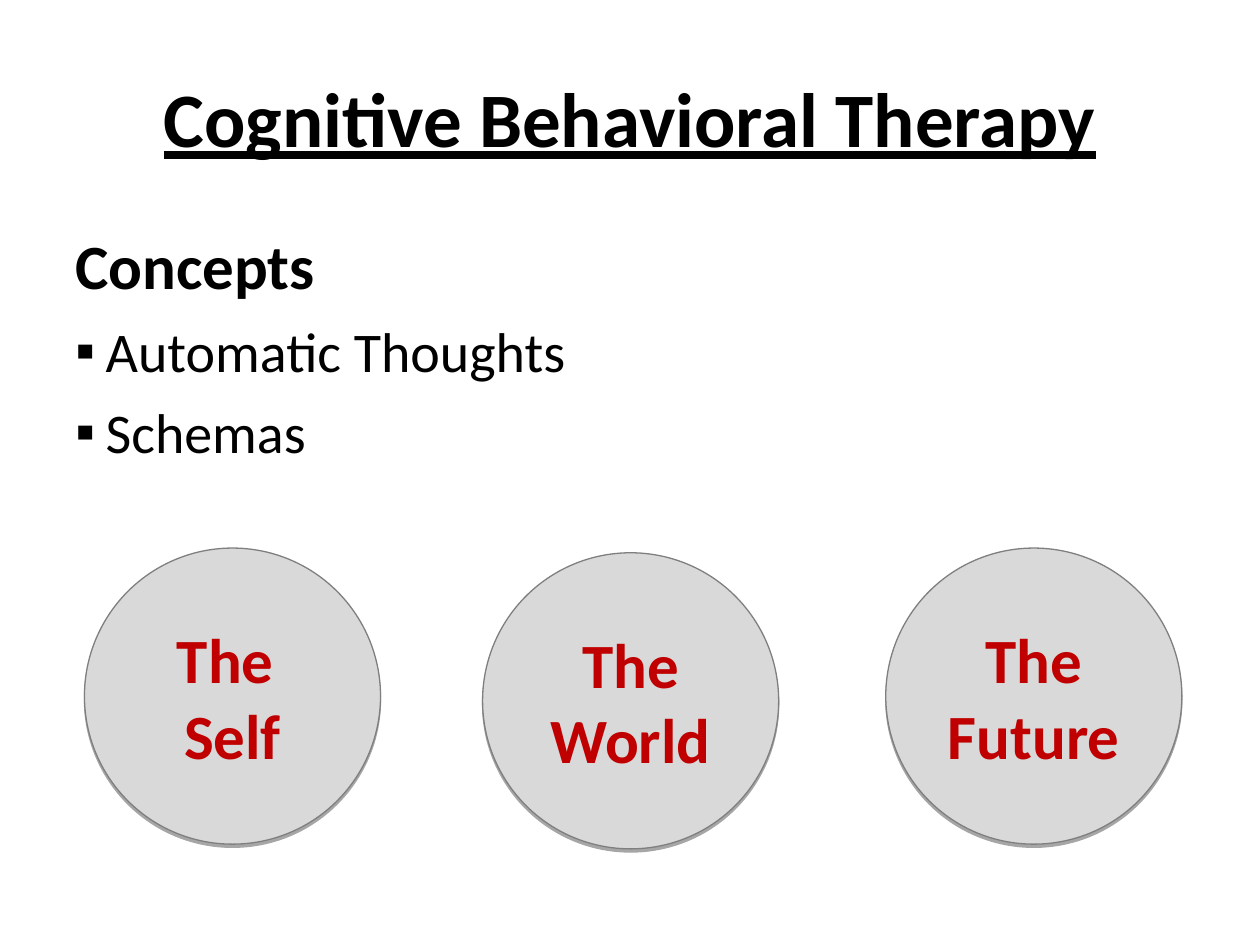
from dataclasses import dataclass
from typing import Any

from lxml.etree import SubElement
from pptx import Presentation
from pptx.dml.color import RGBColor
from pptx.enum.shapes import MSO_SHAPE as Shape
from pptx.enum.text import MSO_ANCHOR as Anchor, PP_ALIGN as Align
from pptx.oxml.ns import qn
from pptx.util import Emu, Inches, Pt

WIDTH, HEIGHT = Inches(10), Inches(7.5)
FONT = "Calibri"
BLACK = RGBColor(0x00, 0x00, 0x00)
RED = RGBColor(0xC0, 0x00, 0x00)
LIGHT_GREY = RGBColor(0xD9, 0xD9, 0xD9)
DARK_GREY = RGBColor(0x7F, 0x7F, 0x7F)
BULLET_INDENT = Inches(0.24)
CIRCLE_SIZE = Inches(2.35)


@dataclass(frozen=True)
class Area:
    left: float
    top: float
    width: float
    height: float

    def lengths(self) -> dict[str, Emu]:
        return {
            "left": Emu(round(self.left * WIDTH)),
            "top": Emu(round(self.top * HEIGHT)),
            "width": Emu(round(self.width * WIDTH)),
            "height": Emu(round(self.height * HEIGHT)),
        }


@dataclass(frozen=True)
class Line:
    text: str
    size: int
    bold: bool = False
    bullet: str = ""
    space_before: int = 0


@dataclass(frozen=True)
class Circle:
    lines: tuple[str, ...]
    left: float
    top: float = 0.58


TITLE_AREA = Area(0.05, 0.04, 0.9, 1 / 6)
CONCEPTS_AREA = Area(0.05, 0.2333, 0.442, 0.66)
CONCEPTS = (
    Line("Concepts", 36, bold=True),
    Line("Automatic Thoughts", 32, bullet="▪", space_before=8),
    Line("Schemas", 32, bullet="▪", space_before=8),
)
CIRCLES = (
    Circle(("The ", "Self"), 0.067),
    Circle(("The World",), 0.383, 0.585),
    Circle(("The Future",), 0.703),
)


def set_values(target: Any, values: dict[str, Any]) -> None:
    for name, value in values.items():
        setattr(target, name, value)


def add_bullet(para: Any, mark: str) -> None:
    properties = para._p.get_or_add_pPr()
    properties.set("marL", str(BULLET_INDENT))
    properties.set("indent", str(-BULLET_INDENT))
    colour = SubElement(properties, qn("a:buClr"))
    SubElement(colour, qn("a:srgbClr"), val=str(BLACK))
    SubElement(properties, qn("a:buFont"), typeface="Arial")
    SubElement(properties, qn("a:buChar"), char=mark)


def write_line(para: Any, line: Line, colour: RGBColor) -> None:
    if line.space_before:
        para.space_before = Pt(line.space_before)
    if line.bullet:
        add_bullet(para, line.bullet)
    span = para.add_run()
    span.text = line.text
    set_values(span.font, {"name": FONT, "size": Pt(line.size), "bold": line.bold})
    span.font.color.rgb = colour


def write_lines(frame: Any, lines: tuple[Line, ...], colour: RGBColor, align: Any) -> None:
    for index, line in enumerate(lines):
        para = frame.add_paragraph() if index else frame.paragraphs[0]
        para.alignment = align
        write_line(para, line, colour)


def add_shadow(shape: Any) -> None:
    shape.shadow.inherit = False
    effects = shape._element.spPr.find(qn("a:effectLst"))
    shadow = SubElement(
        effects, qn("a:outerShdw"), blurRad="0", dist=str(Pt(1.8)), dir="5400000", rotWithShape="0"
    )
    colour = SubElement(shadow, qn("a:srgbClr"), val=str(BLACK))
    SubElement(colour, qn("a:alpha"), val="35000")


def add_title(page: Any) -> None:
    title = page.shapes.title
    set_values(title, TITLE_AREA.lengths())
    title.text_frame.vertical_anchor = Anchor.MIDDLE
    write_lines(
        title.text_frame, (Line("Cognitive Behavioral Therapy", 44, bold=True),), BLACK, Align.CENTER
    )
    title.text_frame.paragraphs[0].runs[0].font.underline = True


def add_concepts(page: Any) -> None:
    box = page.shapes.add_textbox(**CONCEPTS_AREA.lengths())
    box.text_frame.word_wrap = True
    write_lines(box.text_frame, CONCEPTS, BLACK, Align.LEFT)


def add_circle(page: Any, circle: Circle) -> None:
    area = Area(circle.left, circle.top, CIRCLE_SIZE / WIDTH, CIRCLE_SIZE / HEIGHT)
    shape = page.shapes.add_shape(Shape.OVAL, **area.lengths())
    shape.fill.solid()
    shape.fill.fore_color.rgb = LIGHT_GREY
    shape.line.color.rgb = DARK_GREY
    shape.line.width = Pt(0.75)
    add_shadow(shape)
    set_values(shape.text_frame, {"word_wrap": True, "vertical_anchor": Anchor.MIDDLE})
    lines = tuple(Line(text, 36, bold=True) for text in circle.lines)
    write_lines(shape.text_frame, lines, RED, Align.CENTER)


def main() -> None:
    deck = Presentation()
    set_values(deck, {"slide_width": WIDTH, "slide_height": HEIGHT})
    page = deck.slides.add_slide(deck.slide_layouts.get_by_name("Title Only"))
    add_title(page)
    add_concepts(page)
    for circle in CIRCLES:
        add_circle(page, circle)
    deck.save("out.pptx")


if __name__ == "__main__":
    main()
